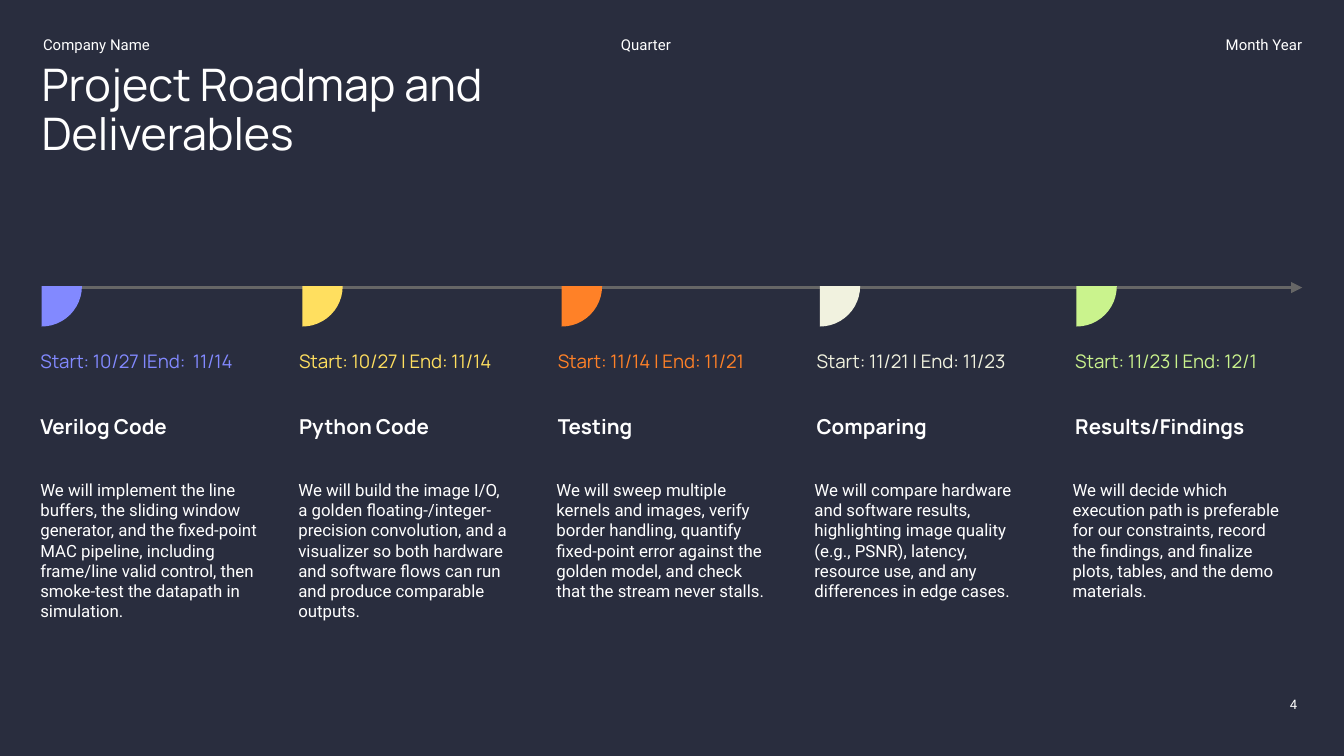
from lxml import etree
from pptx import Presentation
from pptx.dml.color import RGBColor
from pptx.enum.shapes import MSO_CONNECTOR, MSO_SHAPE
from pptx.enum.text import MSO_ANCHOR, PP_ALIGN
from pptx.oxml.ns import qn
from pptx.util import Inches, Pt

STRAIGHT, PIE = MSO_CONNECTOR.STRAIGHT, MSO_SHAPE.PIE
TOP, MIDDLE = MSO_ANCHOR.TOP, MSO_ANCHOR.MIDDLE
LEFT, RIGHT = PP_ALIGN.LEFT, PP_ALIGN.RIGHT
WHITE = "FFFFFF"

deck = Presentation()
deck.slide_width = Inches(10)
deck.slide_height = deck.slide_width * 9 // 16
page = deck.slides.add_slide(deck.slide_layouts[6])


def rgb(value):
    return RGBColor.from_string(value)


def add_text(text, left, top, width, height, size, font="Roboto", color=WHITE,
             bold=False, align=LEFT, anchor=TOP, spacing=1.0, after=0,
             inset_top=0, inset_right=0):
    box = page.shapes.add_textbox(Inches(left), Inches(top), Inches(width), Inches(height))
    frame = box.text_frame
    frame.word_wrap = True
    frame.vertical_anchor = anchor
    frame.margin_left = frame.margin_bottom = 0
    frame.margin_top = Inches(inset_top)
    frame.margin_right = Inches(inset_right)
    para = frame.paragraphs[0]
    para.alignment = align
    para.line_spacing = spacing
    para.space_after = Pt(after)
    span = para.add_run()
    span.text = text
    span.font.name = font
    span.font.size = Pt(size)
    span.font.bold = bold
    span.font.color.rgb = rgb(color)


# Background
page.background.fill.solid()
page.background.fill.fore_color.rgb = rgb("292D3E")

# Header, title and page number
for text, left, width, align in [
    ("Company Name", 0.32, 2.31, LEFT),
    ("Quarter", 4.62, 1.94, LEFT),
    ("Month Year", 7.19, 2.5, RIGHT),
]:
    add_text(text, left, 0.18, width, 0.24, 8, align=align, anchor=MIDDLE, spacing=1.5)
add_text("Project Roadmap and Deliverables", 0.31, 0.47, 4.79, 0.47, 24,
         font="Manrope", spacing=0.9, inset_right=0.1)
add_text("4", 7.35, 5.12, 2.4, 0.32, 7, align=RIGHT, inset_top=0.06, inset_right=0.1)

# Timeline arrow
timeline = page.shapes.add_connector(STRAIGHT, Inches(0.36), Inches(2.14),
                                     Inches(9.69), Inches(2.14))
timeline.line.color.rgb = rgb("666666")
timeline.line.width = Pt(1.5)
etree.SubElement(timeline.line._get_or_add_ln(), qn("a:tailEnd"), type="triangle")
etree.SubElement(timeline._element.spPr, qn("a:effectLst"))

# Phases: marker left, colour, dates, heading, description
phases = [
    (0.01, "8289FF", "Start: 10/27 |End:  11/14", "Verilog Code",
     "We will implement the line buffers, the sliding window generator, and the "
     "fixed-point MAC pipeline, including frame/line valid control, then smoke-test "
     "the datapath in simulation."),
    (1.95, "FFDF5F", "Start: 10/27 | End: 11/14", "Python Code",
     "We will build the image I/O, a golden floating-/integer-precision convolution, "
     "and a visualizer so both hardware and software flows can run and produce "
     "comparable outputs."),
    (3.88, "FF8127", "Start: 11/14 | End: 11/21", "Testing",
     "We will sweep multiple kernels and images, verify border handling, quantify "
     "fixed-point error against the golden model, and check that the stream never "
     "stalls."),
    (5.8, "F1F2DF", "Start: 11/21 | End: 11/23", "Comparing",
     "We will compare hardware and software results, highlighting image quality "
     "(e.g., PSNR), latency, resource use, and any differences in edge cases."),
    (7.71, "CAF38D", "Start: 11/23 | End: 12/1", "Results/Findings",
     "We will decide which execution path is preferable for our constraints, record "
     "the findings, and finalize plots, tables, and the demo materials."),
]
date_pitch = (8 - 0.3) / (len(phases) - 1)
for index, (marker_left, color, dates, heading, description) in enumerate(phases):
    # Lower-right quarter of a circle: 0 to 90 degrees
    marker = page.shapes.add_shape(PIE, Inches(marker_left), Inches(1.83),
                                   Inches(0.6), Inches(0.6))
    marker.adjustments[0] = 0
    marker.adjustments[1] = 54
    marker.shadow.inherit = False
    marker.fill.solid()
    marker.fill.fore_color.rgb = rgb(color)
    marker.line.fill.background()

    left = 0.3 + date_pitch * index
    add_text(dates, left, 2.48, 1.65, 0.33, 10, font="Manrope", color=color,
             anchor=MIDDLE, spacing=1.5)
    add_text(heading, left, 2.99, 1.65, 0.37, 11, font="Manrope", bold=True, spacing=1.5)
    add_text(description, 0.3 + 1.92 * index, 3.57, 1.65, 0.9, 9, after=10,
             inset_right=0.1 if index else 0)

deck.save("out.pptx")
